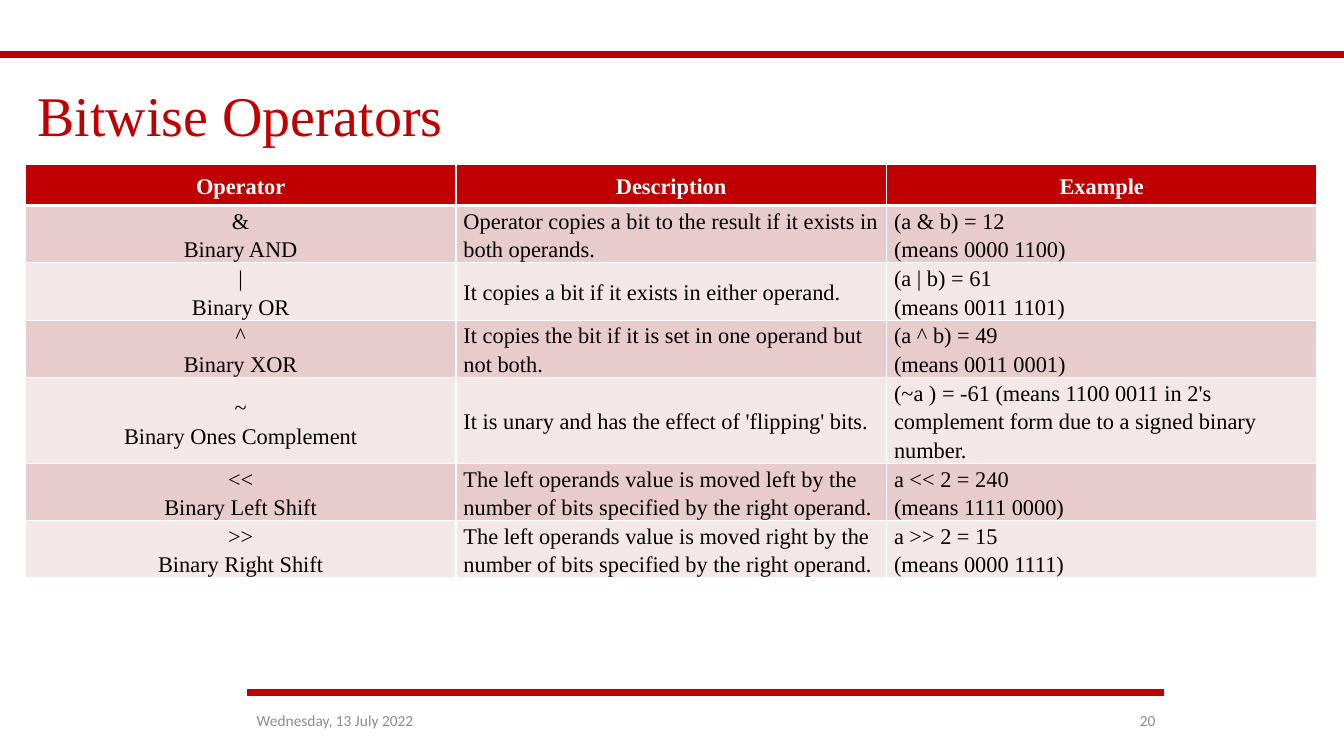
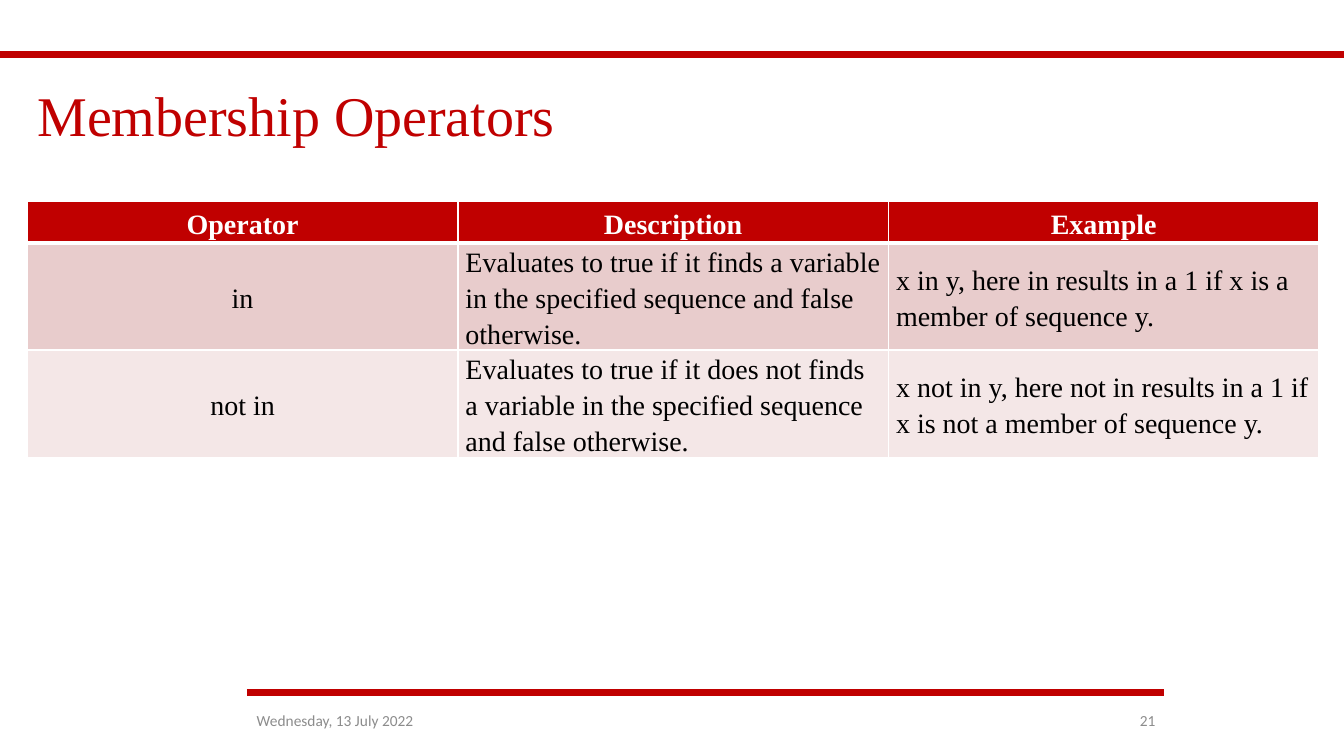
from dataclasses import dataclass

from lxml.etree import SubElement
from pptx import Presentation
from pptx.dml.color import RGBColor
from pptx.enum.shapes import MSO_CONNECTOR
from pptx.enum.text import MSO_ANCHOR, PP_ALIGN
from pptx.oxml.ns import qn
from pptx.util import Cm, Pt


@dataclass(frozen=True)
class Theme:
    red: str = "C00000"
    white: str = "FFFFFF"
    black: str = "000000"
    grey: str = "8C8C8C"
    bands: tuple = ("E8CCCC", "F4E7E7")
    serif: str = "Times New Roman"
    sans: str = "Calibri"
    title_size: int = 40
    footer_size: int = 11
    rule_width: float = 4.5


theme = Theme()


def add_span(para, text, font, size, color, bold=False):
    span = para.add_run()
    span.text = text
    span.font.name = font
    span.font.size = Pt(size)
    span.font.bold = bold
    span.font.color.rgb = RGBColor.from_string(color)


def add_border(cell, side, width):
    border = SubElement(cell._tc.get_or_add_tcPr(), qn(f"a:{side}"), w=str(Pt(width)))
    fill = SubElement(border, qn("a:solidFill"))
    SubElement(fill, qn("a:srgbClr"), val=theme.white)


# Content: each cell is a list of paragraphs
header = (["Operator"], ["Description"], ["Example"])
bitwise_rows = [
    (["&", "Binary AND"],
     ["Operator copies a bit to the result if it exists in both operands."],
     ["(a & b) = 12", "(means 0000 1100)"]),
    (["|", "Binary OR"],
     ["It copies a bit if it exists in either operand."],
     ["(a | b) = 61", "(means 0011 1101)"]),
    (["^", "Binary XOR"],
     ["It copies the bit if it is set in one operand but not both."],
     ["(a ^ b) = 49", "(means 0011 0001)"]),
    (["~", "Binary Ones Complement"],
     ["It is unary and has the effect of 'flipping' bits."],
     ["(~a ) = -61 (means 1100 0011 in 2's complement form due to a signed binary number."]),
    (["<<", "Binary Left Shift"],
     ["The left operands value is moved left by the number of bits specified by the right operand."],
     ["a << 2 = 240", "(means 1111 0000)"]),
    ([">>", "Binary Right Shift"],
     ["The left operands value is moved right by the number of bits specified by the right operand."],
     ["a >> 2 = 15", "(means 0000 1111)"]),
]
membership_rows = [
    (["in"],
     ["Evaluates to true if it finds a variable in the specified sequence and false otherwise."],
     ["x in y, here in results in a 1 if x is a member of sequence y."]),
    (["not in"],
     ["Evaluates to true if it does not finds a variable in the specified sequence and false otherwise."],
     ["x not in y, here not in results in a 1 if x is not a member of sequence y."]),
]
# Title, table left and top in cm, text size, rows
pages = [
    ("Bitwise Operators", 0.64, 4.14, 16, bitwise_rows),
    ("Membership Operators", 0.69, 5.08, 20, membership_rows),
]
date = "Wednesday, 13 July 2022"
first_number = 20
column_width = Cm(10.85)
row_height = Cm(1.04)

deck = Presentation()
deck.slide_width, deck.slide_height = Cm(33.87), Cm(19.05)
layout = deck.slide_layouts[5]

for number, (heading, left, top, size, rows) in enumerate(pages, first_number):
    page = deck.slides.add_slide(layout)

    # Red rules above the title and above the footer
    for start, end, height in ((0, 33.87, 1.37), (6.22, 29.34, 17.45)):
        rule = page.shapes.add_connector(
            MSO_CONNECTOR.STRAIGHT, Cm(start), Cm(height), Cm(end), Cm(height))
        rule.line.color.rgb = RGBColor.from_string(theme.red)
        rule.line.width = Pt(theme.rule_width)
        SubElement(rule._element.spPr, qn("a:effectLst"))

    # Title
    title = page.shapes.title
    title.left, title.top, title.width, title.height = Cm(0.69), Cm(1.37), Cm(32.54), Cm(3.25)
    title.text_frame.vertical_anchor = MSO_ANCHOR.MIDDLE
    para = title.text_frame.paragraphs[0]
    para.alignment = PP_ALIGN.LEFT
    para.line_spacing = 0.9
    add_span(para, heading, theme.serif, theme.title_size, theme.red)

    # Operator table
    grid = [header, *rows]
    table = page.shapes.add_table(
        len(grid), len(header), Cm(left), Cm(top),
        column_width * len(header), row_height * len(grid)).table
    for row_index, row in enumerate(grid):
        is_header = row_index == 0
        table.rows[row_index].height = row_height
        fill = theme.red if is_header else theme.bands[(row_index - 1) % 2]
        for column_index, lines in enumerate(row):
            cell = table.cell(row_index, column_index)
            cell.margin_left = cell.margin_right = Cm(0.19)
            cell.margin_top = cell.margin_bottom = 0
            cell.vertical_anchor = MSO_ANCHOR.MIDDLE
            add_border(cell, "lnL", 1)
            add_border(cell, "lnR", 1)
            add_border(cell, "lnT", 3 if row_index == 1 else 1)
            add_border(cell, "lnB", 3 if is_header else 1)
            cell.fill.solid()
            cell.fill.fore_color.rgb = RGBColor.from_string(fill)
            centred = is_header or column_index == 0
            for line_index, line in enumerate(lines):
                frame = cell.text_frame
                para = frame.add_paragraph() if line_index else frame.paragraphs[0]
                para.alignment = PP_ALIGN.CENTER if centred else PP_ALIGN.LEFT
                para.line_spacing = 1.15
                add_span(para, line, theme.serif, size,
                         theme.white if is_header else theme.black, is_header)

    # Footer: date and page number
    for text, start, width, alignment in (
            (date, 6.22, 5.72, PP_ALIGN.LEFT),
            (str(number), 27.36, 2.01, PP_ALIGN.RIGHT)):
        box = page.shapes.add_textbox(Cm(start), Cm(17.65), Cm(width), Cm(1.02))
        box.text_frame.word_wrap = True
        box.text_frame.vertical_anchor = MSO_ANCHOR.MIDDLE
        para = box.text_frame.paragraphs[0]
        para.alignment = alignment
        add_span(para, text, theme.sans, theme.footer_size, theme.grey)

deck.save("out.pptx")
